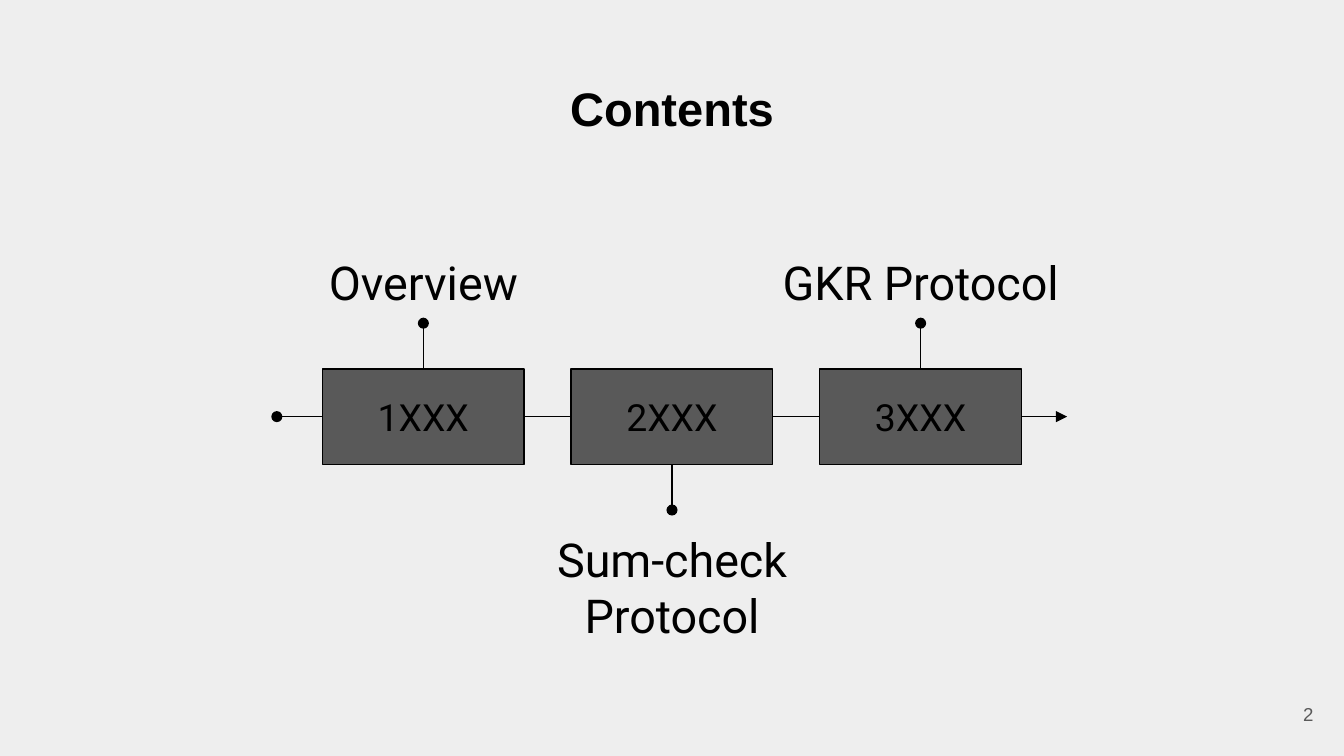
from lxml import etree
from pptx import Presentation
from pptx.dml.color import RGBColor
from pptx.enum.shapes import MSO_CONNECTOR, MSO_SHAPE
from pptx.enum.text import MSO_ANCHOR, PP_ALIGN
from pptx.oxml.ns import qn
from pptx.util import Inches, Pt

STRAIGHT = MSO_CONNECTOR.STRAIGHT
RECTANGLE = MSO_SHAPE.RECTANGLE
TOP, MIDDLE, BOTTOM = MSO_ANCHOR.TOP, MSO_ANCHOR.MIDDLE, MSO_ANCHOR.BOTTOM
CENTER, RIGHT = PP_ALIGN.CENTER, PP_ALIGN.RIGHT

BLACK = RGBColor(0x00, 0x00, 0x00)
GRAY = RGBColor(0x59, 0x59, 0x59)
PALE = RGBColor(0xEE, 0xEE, 0xEE)

TITLE = "Contents"
PAGE_NUMBER = "2"
# Number in the box, lines of the label, whether the label sits above
STEPS = [
    ("1XXX", ["Overview"], True),
    ("2XXX", ["Sum-check", "Protocol"], False),
    ("3XXX", ["GKR Protocol"], True),
]

SLIDE_WIDTH = 10
SLIDE_HEIGHT = SLIDE_WIDTH * 9 / 16
AXIS = 3.1
STEP_PITCH = 1.85
BOX_WIDTH, BOX_HEIGHT = 1.5, 0.71
BOX_TOP, BOX_BOTTOM = AXIS - BOX_HEIGHT / 2, AXIS + BOX_HEIGHT / 2
STEM = 0.34
LABEL_WIDTH, LABEL_ABOVE_HEIGHT, LABEL_BELOW_HEIGHT = 3.19, 0.71, 1.09


def write(shape, lines, size, font, color=BLACK, align=CENTER, anchor=MIDDLE, bold=False):
    frame = shape.text_frame
    frame.word_wrap = True
    frame.vertical_anchor = anchor
    frame.margin_left = frame.margin_right = Inches(0.1)
    frame.margin_top = frame.margin_bottom = Inches(0.1)
    para = frame.paragraphs[0]
    para.alignment = align
    for index, line in enumerate(lines):
        if index:
            para.add_line_break()
        span = para.add_run()
        span.text = line
        span.font.size = Pt(size)
        span.font.name = font
        span.font.bold = bold
        span.font.color.rgb = color


def add_text(page, place, lines, size, font, **style):
    box = page.shapes.add_textbox(*map(Inches, place))
    write(box, lines, size, font, **style)


def add_line(page, start, end, tip=None):
    """Draw a thin line; tip names the arrowhead at its end."""
    line = page.shapes.add_connector(STRAIGHT, *map(Inches, (*start, *end)))
    line.line.color.rgb = BLACK
    line.line.width = Pt(0.75)
    if tip:
        outline = line.line._get_or_add_ln()
        etree.SubElement(outline, qn("a:tailEnd"), type=tip, w="med", len="med")
    etree.SubElement(line._element.spPr, qn("a:effectLst"))


def add_step(page, center, number, label, above):
    box = page.shapes.add_shape(RECTANGLE, *map(Inches, (
        center - BOX_WIDTH / 2, BOX_TOP, BOX_WIDTH, BOX_HEIGHT)))
    box.shadow.inherit = False
    box.fill.solid()
    box.fill.fore_color.rgb = GRAY
    box.line.color.rgb = BLACK
    box.line.width = Pt(0.75)
    write(box, [number], 20, "Roboto")

    if above:
        edge, tip, height = BOX_TOP, BOX_TOP - STEM, LABEL_ABOVE_HEIGHT
        top = tip - height
    else:
        edge, tip, height = BOX_BOTTOM, BOX_BOTTOM + STEM, LABEL_BELOW_HEIGHT
        top = tip
    add_line(page, (center, edge), (center, tip), "oval")
    place = (center - LABEL_WIDTH / 2, top, LABEL_WIDTH, height)
    add_text(page, place, label, 25, "Roboto", anchor=BOTTOM)


def main():
    deck = Presentation()
    deck.slide_width, deck.slide_height = Inches(SLIDE_WIDTH), Inches(SLIDE_HEIGHT)
    page = deck.slides.add_slide(deck.slide_layouts[6])
    page.background.fill.solid()
    page.background.fill.fore_color.rgb = PALE

    add_text(page, (0.34, 0.49, 9.32, 0.63), [TITLE], 25.2, "Arial",
             anchor=TOP, bold=True)

    middle = (len(STEPS) - 1) / 2
    centers = [SLIDE_WIDTH / 2 + (i - middle) * STEP_PITCH for i in range(len(STEPS))]
    for center, step in zip(centers, STEPS):
        add_step(page, center, *step)

    half = BOX_WIDTH / 2
    for left, right in zip(centers, centers[1:]):
        add_line(page, (left + half, AXIS), (right - half, AXIS))
    first, last = centers[0] - half, centers[-1] + half
    add_line(page, (first, AXIS), (first - STEM, AXIS), "oval")
    add_line(page, (last, AXIS), (last + STEM, AXIS), "triangle")

    add_text(page, (9.45, 5.1, 0.42, 0.43), [PAGE_NUMBER], 10, "Arial",
             color=GRAY, align=RIGHT)
    deck.save("out.pptx")


if __name__ == "__main__":
    main()
